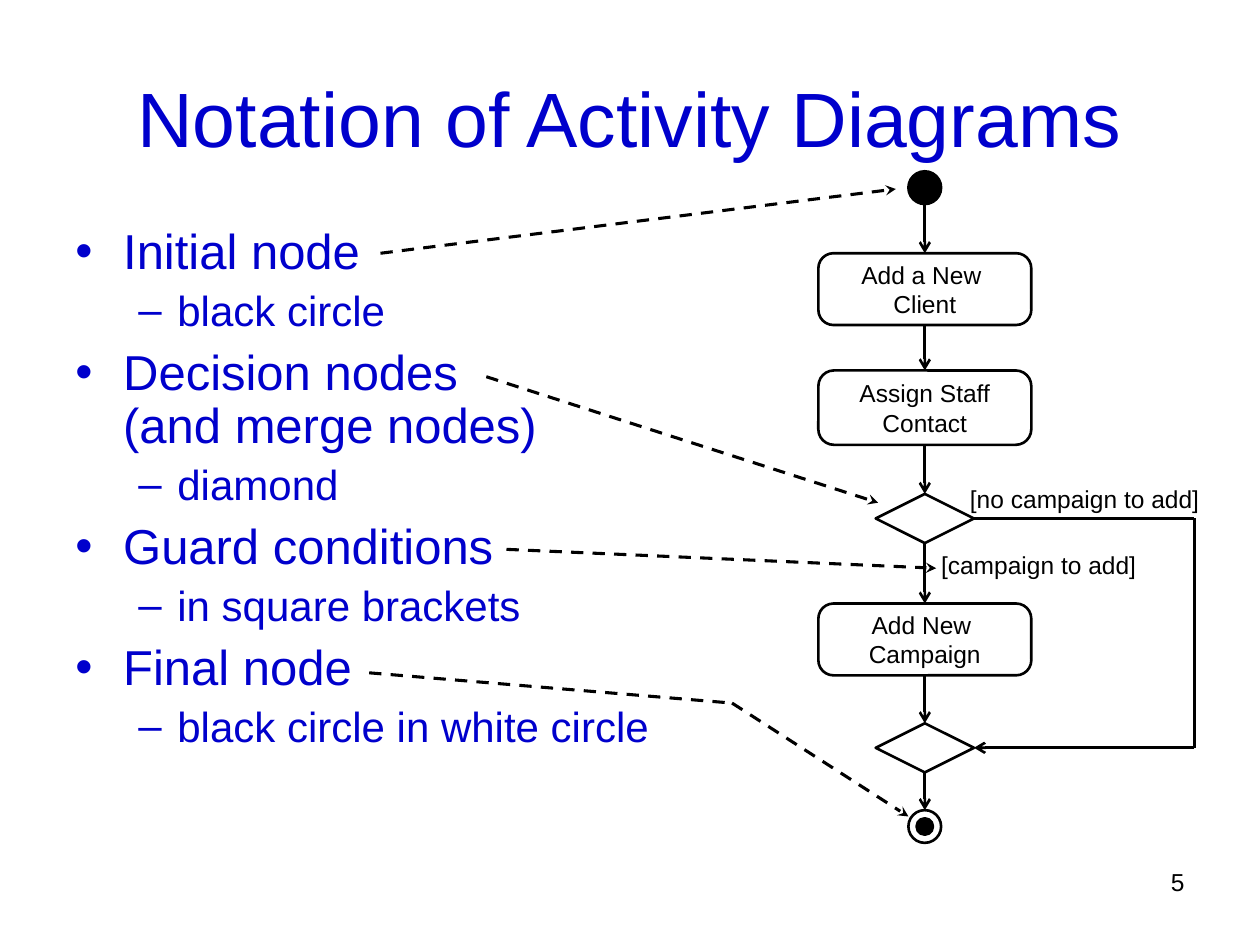
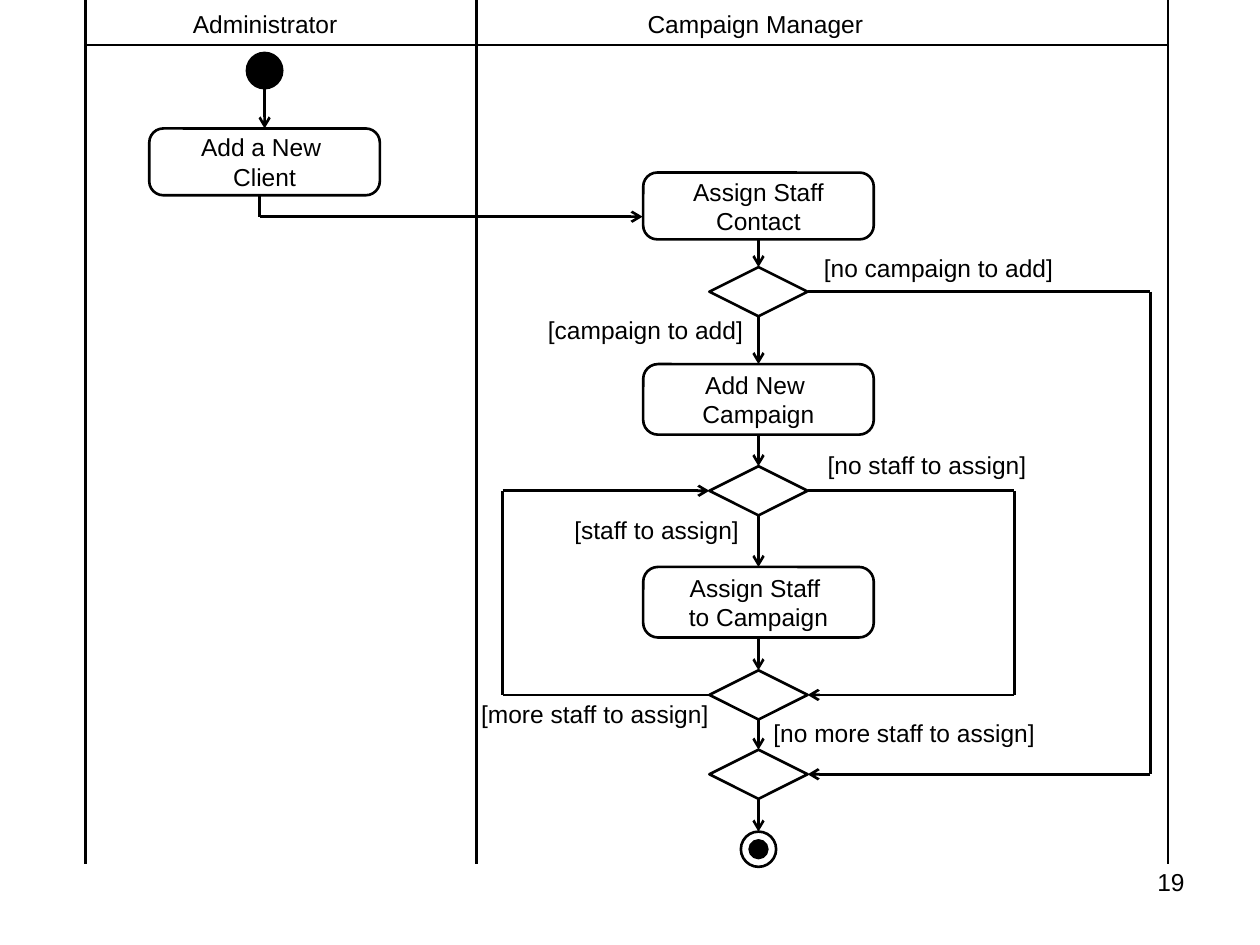
import dataclasses
import itertools

import lxml.etree
import pptx
import pptx.dml.color
import pptx.enum.dml
import pptx.enum.shapes
import pptx.enum.text
import pptx.oxml.ns
import pptx.util

Inches = pptx.util.Inches
Kind = pptx.enum.shapes.MSO_SHAPE
Align = pptx.enum.text.PP_ALIGN
Anchor = pptx.enum.text.MSO_ANCHOR
TOP, LEFT, BOTTOM, RIGHT = range(4)


@dataclasses.dataclass(frozen=True)
class Theme:
    """Colours, font, type sizes and line widths of the deck."""
    blue: str = "0000CC"
    black: str = "000000"
    white: str = "FFFFFF"
    font: str = "Arial"
    title: int = 44
    point: int = 28
    detail: int = 24
    small: int = 14
    thin: float = 1
    line: float = 1.5
    dash: float = 1.75


THEME = Theme()


def paint(text):
    """Turn a hex string into a colour."""
    return pptx.dml.color.RGBColor.from_string(text)


def style(para, size, color, align=Align.LEFT):
    """Set the font and alignment of a paragraph."""
    para.alignment = align
    para.font.name = THEME.font
    para.font.size = pptx.util.Pt(size)
    para.font.color.rgb = paint(color)


def fill_text(shape, text, size=THEME.small, color=THEME.black,
              align=Align.LEFT, wrap=True, anchor=Anchor.TOP):
    """Write styled text into a shape."""
    frame = shape.text_frame
    frame.text = text
    frame.word_wrap = wrap
    frame.vertical_anchor = anchor
    for para in frame.paragraphs:
        style(para, size, color, align)


def add_mark(parent, tag, **values):
    """Append a drawing element with the given attributes."""
    node = lxml.etree.SubElement(parent, pptx.oxml.ns.qn(tag))
    for name, value in values.items():
        node.set(name, str(value))
    return node


def add_bullet(para, sign, margin, hang):
    """Give a paragraph a hanging bullet."""
    props = para._p.get_or_add_pPr()
    props.set("marL", str(Inches(margin)))
    props.set("indent", str(-Inches(hang)))
    add_mark(props, "a:buFont", typeface=THEME.font)
    add_mark(props, "a:buChar", char=sign)


@dataclasses.dataclass
class Pen:
    """Draws on a slide, in inches from the corner of a box."""
    slide: object
    left: float
    top: float

    def label(self, x, y, wide, high, text, **look):
        """Add a text box."""
        box = self.slide.shapes.add_textbox(
            Inches(self.left + x), Inches(self.top + y), Inches(wide), Inches(high))
        fill_text(box, text, **look)
        return box

    def shape(self, kind, mid, y, wide, high, fill=THEME.white):
        """Add an outlined shape centred on the given axis."""
        item = self.slide.shapes.add_shape(
            kind, Inches(self.left + mid - wide / 2), Inches(self.top + y),
            Inches(wide), Inches(high))
        item.shadow.inherit = False
        item.fill.solid()
        item.fill.fore_color.rgb = paint(fill)
        item.line.color.rgb = paint(THEME.black)
        item.line.width = pptx.util.Pt(THEME.line)
        return item

    def action(self, mid, y, wide, high, text):
        """Add a rounded action box."""
        box = self.shape(Kind.ROUNDED_RECTANGLE, mid, y, wide, high)
        box.adjustments[0] = 0.21
        fill_text(box, text, align=Align.CENTER, wrap=False, anchor=Anchor.MIDDLE)
        return box

    def choice(self, mid, y):
        """Add a decision or merge diamond."""
        return self.shape(Kind.DIAMOND, mid, y, 0.78, 0.39)

    def dot(self, mid, y, size):
        """Add a black circle."""
        return self.shape(Kind.OVAL, mid, y, size, size, THEME.black)

    def final(self, mid, y, size):
        """Add a final node and return its ring."""
        ring = self.shape(Kind.OVAL, mid, y, size, size)
        self.dot(mid, y + size / 4, size / 2)
        return ring

    def wire(self, start, end, head=None, width=THEME.line, dash=False):
        """Draw a line between points or (shape, side) pairs."""
        spots = [(0, 0) if hasattr(spot[0], "shape_id") else
                 (Inches(self.left + spot[0]), Inches(self.top + spot[1]))
                 for spot in (start, end)]
        line = self.slide.shapes.add_connector(
            pptx.enum.shapes.MSO_CONNECTOR.STRAIGHT, *spots[0], *spots[1])
        for spot, join in ((start, line.begin_connect), (end, line.end_connect)):
            if hasattr(spot[0], "shape_id"):
                join(*spot)
        line.line.color.rgb = paint(THEME.black)
        line.line.width = pptx.util.Pt(width)
        if dash:
            line.line.dash_style = pptx.enum.dml.MSO_LINE.DASH
        if head:
            add_mark(line.line._get_or_add_ln(), "a:tailEnd", type=head)
        add_mark(line._element.spPr, "a:effectLst")

    def route(self, *spots, head="arrow", **look):
        """Draw a bent line with an arrowhead at its end."""
        for start, end in itertools.pairwise(spots):
            self.wire(start, end, head if end is spots[-1] else None, **look)

    def chain(self, *nodes):
        """Join nodes downwards with arrows."""
        for upper, lower in itertools.pairwise(nodes):
            self.wire((upper, BOTTOM), (lower, TOP), "arrow")

    def bypass(self, start, end, x, side):
        """Lead an arrow around the chain by way of x."""
        bends = [(x, pptx.util.Emu(node.top + node.height // 2).inches - self.top)
                 for node in (start, end)]
        self.route((start, side), *bends, (end, side))


def draw_title(slide, left, top, wide, high, text):
    """Place the slide title."""
    Pen(slide, left, top).label(0, 0, wide, high, text, size=THEME.title, color=THEME.blue,
                                align=Align.CENTER, anchor=Anchor.MIDDLE)


def draw_number(slide, number):
    """Place the page number."""
    Pen(slide, 7.17, 6.83).label(0, 0, 2.33, 0.52, str(number), align=Align.RIGHT)


def draw_list(slide, left, top, wide, high, pairs):
    """Place bullet points, each with one detail."""
    lines = list(itertools.chain.from_iterable(pairs))
    box = Pen(slide, left, top).label(0, 0, wide, high, "\n".join(lines))
    for index, para in enumerate(box.text_frame.paragraphs):
        inner = index % 2
        style(para, THEME.detail if inner else THEME.point, THEME.blue)
        para.level = inner
        para.line_spacing = 0.9
        para.space_before = pptx.util.Pt(6 if inner else 7)
        add_bullet(para, *(("–", 0.81, 0.31) if inner else ("•", 0.38, 0.38)))


def draw_flow(slide, left, top):
    """Draw the small activity diagram."""
    pen = Pen(slide, left, top)
    mid, wide = 0.85, 1.69
    pen.label(0.88, 2.96, 2.08, 0.34, "[campaign to add]")
    pen.label(1.11, 2.43, 2.36, 0.34, "[no campaign to add]")
    pen.dot(mid, 0, 0.26)
    client = pen.action(mid, 0.65, wide, 0.57, "Add a New \vClient")
    staff = pen.action(mid, 1.58, wide, 0.59, "Assign Staff\vContact")
    choice = pen.choice(mid, 2.56)
    camp = pen.action(mid, 3.43, wide, 0.57, "Add New \nCampaign")
    merge = pen.choice(mid, 4.38)
    final = pen.final(mid, 5.07, 0.26)
    pen.wire((mid, 0.26), (client, TOP), "arrow")
    pen.chain(client, staff, choice, camp, merge, final)
    pen.bypass(choice, merge, 2.99, RIGHT)


def draw_hints(slide, left, top):
    """Draw dashed arrows from the list to the diagram."""
    pen = Pen(slide, left, top)
    for spots in (
        [(0.12, 0.51), (4.21, 0)],
        [(0.96, 1.49), (4.07, 2.49)],
        [(1.12, 2.86), (4.53, 3.01)],
        [(0.03, 3.84), (2.91, 4.08), (4.31, 4.98)],
    ):
        pen.route(*spots, head="stealth", width=THEME.dash, dash=True)


def draw_lanes(slide, left, top, wide, high):
    """Draw the swimlanes and their headings."""
    pen = Pen(slide, left, top)
    for x in (0, 3.1, wide):
        pen.wire((x, 0), (x, high))
    pen.wire((0, 0.36), (wide, 0.36), width=THEME.thin)
    for x, span, name in ((0.75, 1.35, "Administrator"), (4.36, 1.91, "Campaign Manager")):
        pen.label(x, 0.02, span, 0.34, name, align=Align.CENTER, wrap=False)


def draw_steps(slide, left, top):
    """Draw the activities inside the swimlanes."""
    pen = Pen(slide, left, top)
    admin, mid, wide = 1.42, 5.34, 1.83
    for x, y, span, text in (
        (5.36, 5.65, 2.84, "[no more staff to assign]"),
        (3.04, 5.5, 2.96, "[more staff to assign]"),
        (5.79, 3.52, 2.56, "[no staff to assign]"),
        (3.57, 2.45, 2.26, "[campaign to add]"),
        (5.76, 1.96, 2.56, "[no campaign to add]"),
        (3.78, 4.04, 2.23, "[staff to assign]"),
    ):
        pen.label(x, y, span, 0.34, text)
    pen.dot(admin, 0.42, 0.28)
    client = pen.action(admin, 1.02, wide, 0.53, "Add a New \vClient")
    staff = pen.action(mid, 1.37, wide, 0.53, "Assign Staff\vContact")
    choice = pen.choice(mid, 2.12)
    camp = pen.action(mid, 2.89, wide, 0.56, "Add New \nCampaign")
    loop = pen.choice(mid, 3.7)
    assign = pen.action(mid, 4.5, wide, 0.56, "Assign Staff \nto Campaign")
    more = pen.choice(mid, 5.32)
    merge = pen.choice(mid, 5.95)
    final = pen.final(mid, 6.6, 0.28)
    pen.wire((admin, 0.7), (client, TOP), "arrow")
    pen.route((1.38, 1.55), (1.38, 1.72), (4.42, 1.72))
    pen.chain(staff, choice, camp, loop, assign, more, merge, final)
    pen.bypass(choice, merge, 8.45, RIGHT)
    pen.bypass(loop, more, 7.37, RIGHT)
    pen.bypass(more, loop, 3.31, LEFT)


def main():
    """Build both slides and save the deck."""
    deck = pptx.Presentation()
    deck.slide_width, deck.slide_height = Inches(10), Inches(7.5)
    blank = deck.slide_layouts[6]

    slide = deck.slides.add_slide(blank)
    draw_title(slide, 0.5, 0.3, 9, 1.25, "Notation of Activity Diagrams")
    draw_list(slide, 0.5, 1.75, 9, 4.95, [
        ("Initial node", "black circle"),
        ("Decision nodes\v(and merge nodes)", "diamond"),
        ("Guard conditions", "in square brackets"),
        ("Final node", "black circle in white circle"),
    ])
    draw_flow(slide, 6.49, 1.36)
    draw_hints(slide, 2.9, 1.5)
    draw_number(slide, 5)

    slide = deck.slides.add_slide(blank)
    draw_lanes(slide, 0.68, 0, 8.59, 6.86)
    draw_steps(slide, 0.68, 0)
    draw_number(slide, 19)

    deck.save("out.pptx")


if __name__ == "__main__":
    main()
